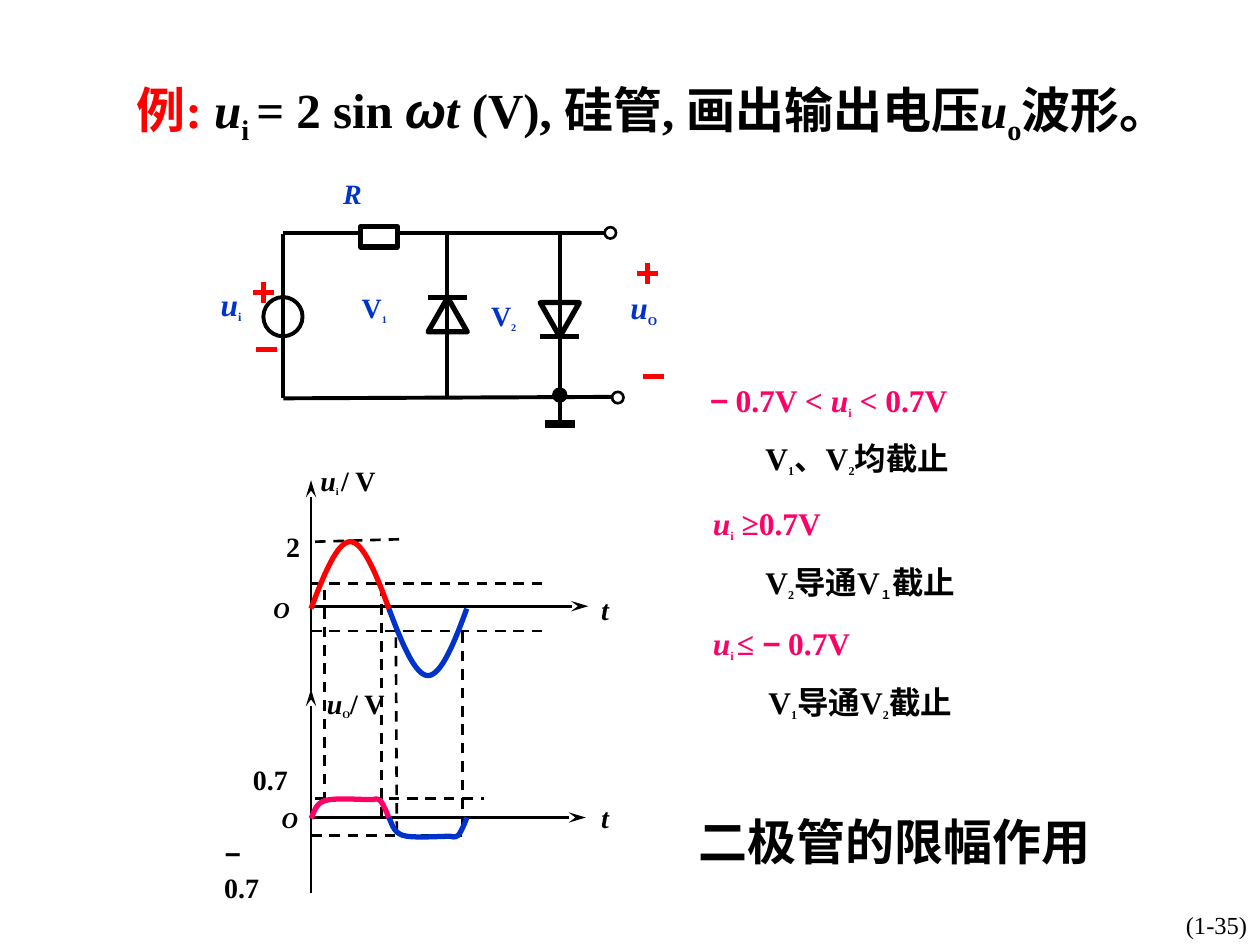
"""Build a slide on the limiting action of two diodes."""
from dataclasses import dataclass

from lxml.etree import SubElement
from pptx import Presentation
from pptx.dml.color import RGBColor
from pptx.enum.dml import MSO_LINE
from pptx.enum.shapes import MSO_CONNECTOR, MSO_SHAPE
from pptx.enum.text import MSO_ANCHOR, MSO_AUTO_SIZE, PP_ALIGN
from pptx.oxml.ns import qn
from pptx.util import Cm, Pt


@dataclass(frozen=True)
class Theme:
    black: RGBColor = RGBColor(0, 0, 0)
    white: RGBColor = RGBColor(255, 255, 255)
    red: RGBColor = RGBColor(255, 0, 0)
    blue: RGBColor = RGBColor(0, 0x33, 0xCC)
    pink: RGBColor = RGBColor(255, 0, 0x66)
    serif: str = "Times New Roman"
    sans: str = "Arial"
    heading: int = 28
    body: int = 18
    label: int = 16
    footer: int = 14
    origin: int = 13


theme = Theme()
subscript_sizes = {theme.heading: 28, theme.body: 12, theme.label: 10}


def write_text(box, spans, *, size, color=theme.black, bold=True, wrap=True,
               align=PP_ALIGN.JUSTIFY):
    """Fill a box; style letters: i italic, s subscript, a sans, r red."""
    frame = box.text_frame
    frame.word_wrap = wrap
    frame.auto_size = MSO_AUTO_SIZE.NONE
    frame.vertical_anchor = MSO_ANCHOR.TOP
    para = frame.paragraphs[0]
    para.alignment = align
    for text, style in spans:
        span = para.add_run()
        span.text = text
        font = span.font
        font.name = theme.sans if "a" in style else theme.serif
        font.size = Pt(subscript_sizes[size] if "s" in style else size)
        font.bold = bold
        font.italic = "i" in style
        font.color.rgb = theme.red if "r" in style else color
        if "s" in style:
            font._element.set("baseline", "-25000")


def draw_line(page, start_x, start_y, end_x, end_y, *, color=theme.black,
              width=1.5, dashed=False, arrow=False):
    line = page.shapes.add_connector(
        MSO_CONNECTOR.STRAIGHT, Cm(start_x), Cm(start_y), Cm(end_x), Cm(end_y))
    line.line.color.rgb = color
    line.line.width = Pt(width)
    if dashed:
        line.line.dash_style = MSO_LINE.DASH
    if arrow:
        SubElement(line.line._get_or_add_ln(), qn("a:tailEnd"), type="stealth", len="lg")
    SubElement(line._element.spPr, qn("a:effectLst"))


deck = Presentation()
deck.slide_width, deck.slide_height = Cm(25.4), Cm(19.05)
page = deck.slides.add_slide(deck.slide_layouts[5])

title = page.shapes.title
title.left, title.top, title.width, title.height = Cm(2.5), Cm(1.47), Cm(21.57), Cm(2.79)
write_text(title, [
    ("例: ", "r"), ("u", "i"), ("i ", "s"), ("= 2 sin ", ""), ("ω", "ai"), ("t ", "i"),
    ("(V), 硅管, 画出输出电压", ""), ("u", "i"), ("o", "s"), ("波形。", ""),
], size=theme.heading)

wires = [
    (5.71, 4.72, 5.71, 8.03), (9.02, 4.7, 9.02, 8.03), (5.71, 4.7, 12.19, 4.7),
    (5.71, 8.03, 12.45, 8), (11.28, 4.72, 11.28, 8.48),
]
for wire in wires:
    draw_line(page, *wire, width=2.25)
for left, bar_y in [(8.63, 6), (10.89, 6.78)]:
    draw_line(page, left, bar_y, left + 0.79, bar_y, width=3)
draw_line(page, 10.98, 8.54, 11.59, 8.54, width=4.5)

parts = [
    (MSO_SHAPE.ISOSCELES_TRIANGLE, 8.63, 6, 0.79, 0.69, None, 3, 0),
    (MSO_SHAPE.ISOSCELES_TRIANGLE, 10.89, 6.1, 0.79, 0.69, None, 3, 180),
    (MSO_SHAPE.RECTANGLE, 7.27, 4.57, 0.74, 0.41, theme.white, 3, 0),
    (MSO_SHAPE.OVAL, 5.31, 5.99, 0.79, 0.79, None, 2.25, 0),
    (MSO_SHAPE.OVAL, 12.19, 4.58, 0.23, 0.23, theme.white, 1.5, 0),
    (MSO_SHAPE.OVAL, 12.34, 7.9, 0.23, 0.23, theme.white, 1.5, 0),
    (MSO_SHAPE.OVAL, 11.17, 7.85, 0.23, 0.23, theme.black, 2.25, 0),
]
for kind, left, top, width, height, fill, line_width, rotation in parts:
    part = page.shapes.add_shape(kind, Cm(left), Cm(top), Cm(width), Cm(height))
    part.rotation = rotation
    part.shadow.inherit = False
    part.line.color.rgb = theme.black
    part.line.width = Pt(line_width)
    if fill is None:
        part.fill.background()
    else:
        part.fill.solid()
        part.fill.fore_color.rgb = fill

arm = 0.21
for x, y in [(5.31, 5.89), (13.06, 5.52)]:
    draw_line(page, x, y - arm, x, y + arm, color=theme.red, width=3)
for x, y in [(5.31, 5.89), (13.06, 5.52), (5.37, 7.05), (13.18, 7.59)]:
    draw_line(page, x - arm, y, x + arm, y, color=theme.red, width=3)

axis_x = 6.27
for axis_y, right, bottom, top in [(12.22, 11.86, 13.92, 9.68), (16.48, 11.81, 18.01, 13.89)]:
    draw_line(page, axis_x, axis_y, right, axis_y, arrow=True)
    draw_line(page, axis_x, bottom, axis_x, top, arrow=True)

guides = [
    (6.35, 10.92, 8.1, 10.87), (axis_x, 11.76, 10.97, 11.76), (axis_x, 12.72, 10.97, 12.72),
    (6.35, 16.1, 9.75, 16.1), (axis_x, 16.84, 9.32, 16.84),
    (6.54, 11.89, 6.54, 16.15), (7.69, 11.81, 7.69, 16.48),
    (7.98, 12.85, 8, 16.74), (9.32, 12.75, 9.32, 16.66),
]
for guide in guides:
    draw_line(page, *guide, dashed=True)

half_period = 1.57
sine = [(0, 0), (0.26, 0.69), (0.53, 1.35), (0.79, 1.35), (1.05, 1.35), (1.32, 0.69),
        (half_period, 0)]
limited = [(0, 0), (0.05, 0.08), (0.08, 0.3), (0.28, 0.36), (0.46, 0.42), (1.01, 0.38),
           (1.19, 0.38), (1.35, 0.38), (1.19, 0.38), (1.24, 0.38), (1.27, 0.38),
           (1.32, 0.42), (1.4, 0.36), (1.45, 0.3), (1.55, 0.08), (half_period, 0)]
waves = [
    (0, 12.27, -1, sine, theme.red), (1, 12.27, 1, sine, theme.blue),
    (0, 16.5, -1, limited, theme.pink), (1, 16.48, 1, limited, theme.blue),
]
for half, base, sign, controls, color in waves:
    points = [(Cm(axis_x + half * half_period + x), Cm(base + sign * y)) for x, y in controls]
    builder = page.shapes.build_freeform(*points[0])
    builder.add_line_segments(points[1:], close=False)
    wave = builder.convert_to_shape()
    segments = list(wave._element.iter(qn("a:lnTo")))
    outline = segments[0].getparent()
    for first in range(0, len(segments), 3):
        curve = SubElement(outline, qn("a:cubicBezTo"))
        for segment in segments[first:first + 3]:
            curve.append(segment[0])
            outline.remove(segment)
    wave.shadow.inherit = False
    wave.fill.background()
    wave.line.color.rgb = color
    wave.line.width = Pt(3)

label = {"size": theme.label}
axis_label = {"size": theme.label, "wrap": False}
origin = {"size": theme.origin, "wrap": False}
part_label = {"size": theme.label, "color": theme.blue}
voltage = {"size": theme.body, "color": theme.blue}
condition = {"size": theme.body, "color": theme.pink}
result = {"size": theme.body}
texts = [
    (6.67, 3.43, 1.8, 0.94, [("R", "i")], part_label),
    (7.04, 5.74, 1.98, 0.97, [("V", ""), ("1", "s")], part_label),
    (9.65, 5.9, 2.03, 0.97, [("V", ""), ("2", "s")], part_label),
    (4.2, 5.62, 2.34, 1.04, [("u", "i"), ("i", "s")], voltage),
    (12.46, 5.69, 2.34, 1.04, [("u", "i"), ("O", "s")], voltage),
    (5.26, 11.89, 0.84, 0.81, [("O", "i")], origin),
    (5.43, 16.11, 0.84, 0.81, [("O", "i")], origin),
    (11.87, 11.82, 0.66, 0.94, [("t", "i")], axis_label),
    (11.87, 16.01, 0.66, 0.94, [("t", "i")], axis_label),
    (6.21, 9.22, 1.63, 0.97, [("u", "i"), ("i ", "s"), ("/ V", "")], axis_label),
    (6.34, 13.71, 1.68, 0.97, [("u", "i"), ("O", "s"), ("/ V", "")], axis_label),
    (5.52, 10.55, 0.79, 0.94, [("2", "")], axis_label),
    (4.85, 15.24, 2.62, 0.94, [("0.7", "")], label),
    (4.27, 16.74, 1.52, 0.94, [("− ", "ai"), ("0.7", "")], label),
    (14.05, 7.55, 9.45, 1.04,
     [("−", "ai"), (" 0.7V <", ""), (" u", "i"), ("i", "s"), (" < 0.7V", "")], condition),
    (15.18, 8.72, 7.34, 1.04,
     [("V", ""), ("1", "s"), ("、V", ""), ("2", "s"), ("均截止", "")], result),
    (14.12, 10.03, 5.66, 1.04, [("u", "i"), ("i", "s"), (" ≥0.7V", "")], condition),
    (15.18, 11.23, 7.72, 1.04,
     [("V", ""), ("2", "s"), ("导通V", ""), ("１", "s"), ("截止", "")], result),
    (14.12, 12.45, 6.38, 1.04,
     [("u", "i"), ("i ", "s"), ("≤ ", ""), ("−", "ai"), (" 0.7V", "")], condition),
    (15.24, 13.64, 7.21, 1.04,
     [("V", ""), ("1", "s"), ("导通V", ""), ("2", "s"), ("截止", "")], result),
    (13.84, 16.23, 8.92, 1.45, [("二极管的限幅作用", "")], {"size": theme.heading}),
    (23.65, 18.23, 1.75, 0.82, [("(1-35)", "")],
     {"size": theme.footer, "bold": False, "wrap": False, "align": PP_ALIGN.CENTER}),
]
for left, top, width, height, spans, style in texts:
    box = page.shapes.add_textbox(Cm(left), Cm(top), Cm(width), Cm(height))
    write_text(box, spans, **style)

deck.save("out.pptx")
